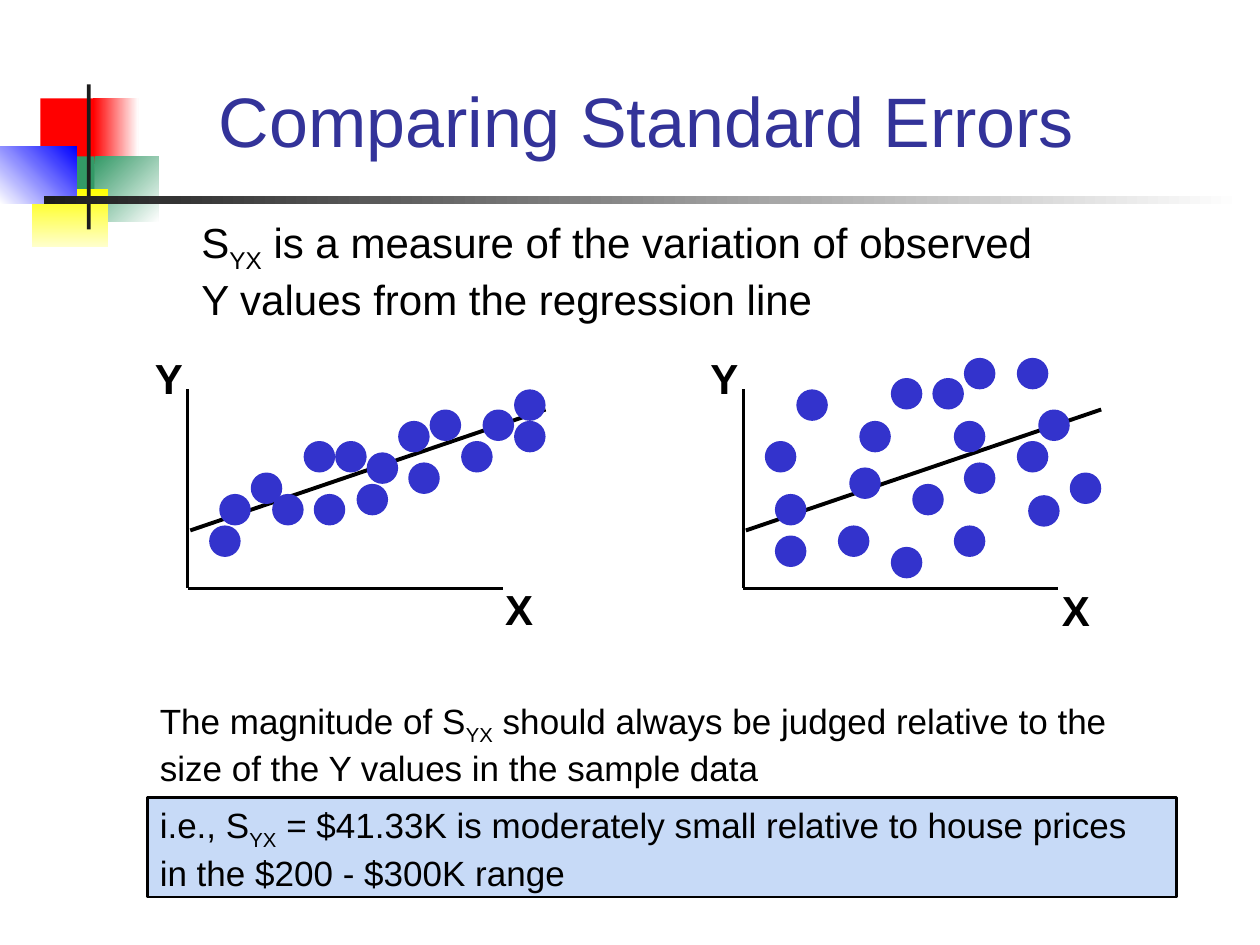
from dataclasses import dataclass
from typing import Optional

from lxml import etree
from pptx import Presentation
from pptx.dml.color import RGBColor
from pptx.enum.shapes import MSO_CONNECTOR, MSO_SHAPE
from pptx.enum.text import MSO_ANCHOR, PP_ALIGN
from pptx.oxml.ns import qn
from pptx.util import Emu, Pt

RECT, OVAL, LINE = MSO_SHAPE.RECTANGLE, MSO_SHAPE.OVAL, MSO_CONNECTOR.STRAIGHT
BOTTOM, TOP = MSO_ANCHOR.BOTTOM, MSO_ANCHOR.TOP
CENTER, LEFT = PP_ALIGN.CENTER, PP_ALIGN.LEFT
EMU_PER_PX = 9144  # 100 px to the inch


@dataclass(frozen=True)
class Theme:
    font: str = "Arial"
    ink: str = "000000"
    title: str = "333399"
    dot: str = "3333CC"
    box: str = "C7DAF7"
    rule: str = "1C1C1C"
    red: str = "FF0000"
    green: str = "339966"
    yellow: str = "FFFF00"
    cream: str = "FFFFCC"
    blue: str = "0000FF"
    white: str = "FFFFFF"
    title_pt: int = 40
    large_pt: int = 24
    body_pt: int = 20
    axis_pt: float = 2
    trend_pt: float = 2.25
    box_pt: float = 1.5


T = Theme()


@dataclass(frozen=True)
class Box:
    x: int
    y: int
    w: int
    h: int

    def emu(self) -> list[Emu]:
        return [px(v) for v in (self.x, self.y, self.w, self.h)]


@dataclass(frozen=True)
class Block:
    box: Box
    color: str
    fade: Optional[str] = None
    angle: int = 0  # counter-clockwise


@dataclass(frozen=True)
class Plot:
    x: int  # position of the Y axis
    x_label: Box
    dots: tuple[tuple[int, int], ...]  # top left corners


@dataclass(frozen=True)
class Statement:
    box: Box
    size: int
    before: str
    after: str
    boxed: bool = False


BLOCKS = (
    Block(Box(32, 78, 48, 52), T.red),
    Block(Box(74, 78, 36, 52), T.red, T.white),
    Block(Box(75, 124, 51, 52), T.green, T.white, 315),
    Block(Box(43, 124, 32, 52), T.green),
    Block(Box(25, 150, 61, 46), T.yellow, T.cream, 270),
    Block(Box(0, 116, 61, 46), T.white, T.blue, 45),
    Block(Box(69, 67, 3, 115), T.rule),
    Block(Box(35, 156, 951, 6), T.rule, T.white),
)

PLOTS = (
    Plot(149, Box(391, 458, 42, 50), (
        (166, 417), (174, 392), (408, 309), (383, 325), (216, 392), (366, 350),
        (341, 325), (199, 375), (241, 350), (324, 367), (283, 384), (249, 392),
        (291, 359), (316, 334), (266, 350), (408, 334))),
    Plot(590, Box(833, 459, 42, 50), (
        (615, 425), (615, 392), (807, 284), (824, 325), (665, 417), (807, 350),
        (757, 417), (765, 284), (707, 300), (607, 350), (632, 309), (674, 371),
        (765, 367), (724, 384), (707, 434), (849, 375), (757, 334), (740, 300),
        (682, 334), (816, 393))),
)
DOT = 25

STATEMENTS = (
    Statement(Box(150, 167, 700, 90), T.large_pt, "S",
              " is a measure of the variation of observed Y values"
              " from the regression line"),
    Statement(Box(117, 550, 817, 77), T.body_pt, "The magnitude of S",
              " should always be judged relative to the size of the Y values"
              " in the sample data"),
    Statement(Box(117, 633, 817, 79), T.body_pt, "i.e., S",
              " = $41.33K is moderately small relative to house prices"
              " in the $200 - $300K range", boxed=True),
)


def px(value: int) -> Emu:
    return Emu(value * EMU_PER_PX)


def rgb(color: str) -> RGBColor:
    return RGBColor.from_string(color)


def add_filled(shapes, kind, box: Box, color: str):
    sp = shapes.add_shape(kind, *box.emu())
    sp.shadow.inherit = False
    sp.fill.solid()
    sp.fill.fore_color.rgb = rgb(color)
    sp.line.fill.background()
    return sp


def add_block(shapes, block: Block) -> None:
    sp = add_filled(shapes, RECT, block.box, block.color)
    if block.fade:
        sp.fill.gradient()
        sp.fill.gradient_angle = block.angle
        for stop, color in zip(sp.fill.gradient_stops, (block.color, block.fade)):
            stop.color.rgb = rgb(color)


def add_line(shapes, x1: int, y1: int, x2: int, y2: int, width: float) -> None:
    line = shapes.add_connector(LINE, px(x1), px(y1), px(x2), px(y2))
    line.line.color.rgb = rgb(T.ink)
    line.line.width = Pt(width)
    etree.SubElement(line._element.spPr, qn("a:effectLst"))


def style(font, size: int, color: str, bold: bool = False) -> None:
    font.name, font.size, font.bold = T.font, Pt(size), bold
    font.color.rgb = rgb(color)


def add_text(shapes, box: Box, text: str, size: int, color: str, bold=False,
             wrap=False, align=LEFT, anchor=TOP) -> None:
    tf = shapes.add_textbox(*box.emu()).text_frame
    tf.text = text
    tf.word_wrap, tf.vertical_anchor = wrap, anchor
    p = tf.paragraphs[0]
    p.alignment = align
    style(p.runs[0].font, size, color, bold)


def add_plot(shapes, plot: Plot) -> None:
    x, top, base = plot.x, 309, 467
    add_line(shapes, x, top, x, base, T.axis_pt)
    add_line(shapes, x, base, x + 250, base, T.axis_pt)
    add_line(shapes, x + 2, 421, x + 284, 325, T.trend_pt)
    for left, upper in plot.dots:
        add_filled(shapes, OVAL, Box(left, upper, DOT, DOT), T.dot)
    add_text(shapes, Box(x - 36, 275, 42, 50), "Y", T.large_pt, T.ink, bold=True)
    add_text(shapes, plot.x_label, "X", T.large_pt, T.ink, bold=True)


def add_statement(shapes, item: Statement) -> None:
    if item.boxed:
        sp = add_filled(shapes, RECT, item.box, T.box)
        sp.line.color.rgb = rgb(T.ink)
        sp.line.width = Pt(T.box_pt)
    else:
        sp = shapes.add_textbox(*item.box.emu())
    tf = sp.text_frame
    tf.word_wrap, tf.vertical_anchor = True, TOP
    p = tf.paragraphs[0]
    p.alignment = LEFT
    for text, baseline in ((item.before, 0), ("YX", -25000), (item.after, 0)):
        r = p.add_run()
        r.text = text
        style(r.font, item.size, T.ink)
        if baseline:
            r._r.get_or_add_rPr().set("baseline", str(baseline))


def main() -> None:
    prs = Presentation()
    prs.slide_width, prs.slide_height = px(1000), px(750)
    s = prs.slides.add_slide(prs.slide_layouts[6])

    # Corner ornament and rule
    ornament = s.shapes.add_group_shape()
    for block in BLOCKS:
        add_block(ornament.shapes, block)

    # Title
    add_text(s.shapes, Box(126, 25, 774, 108), "Comparing Standard Errors",
             T.title_pt, T.title, wrap=True, align=CENTER, anchor=BOTTOM)

    # Scatter diagrams
    for plot in PLOTS:
        add_plot(s.shapes, plot)

    # Explanations
    for item in STATEMENTS:
        add_statement(s.shapes, item)

    prs.save("out.pptx")


if __name__ == "__main__":
    main()
